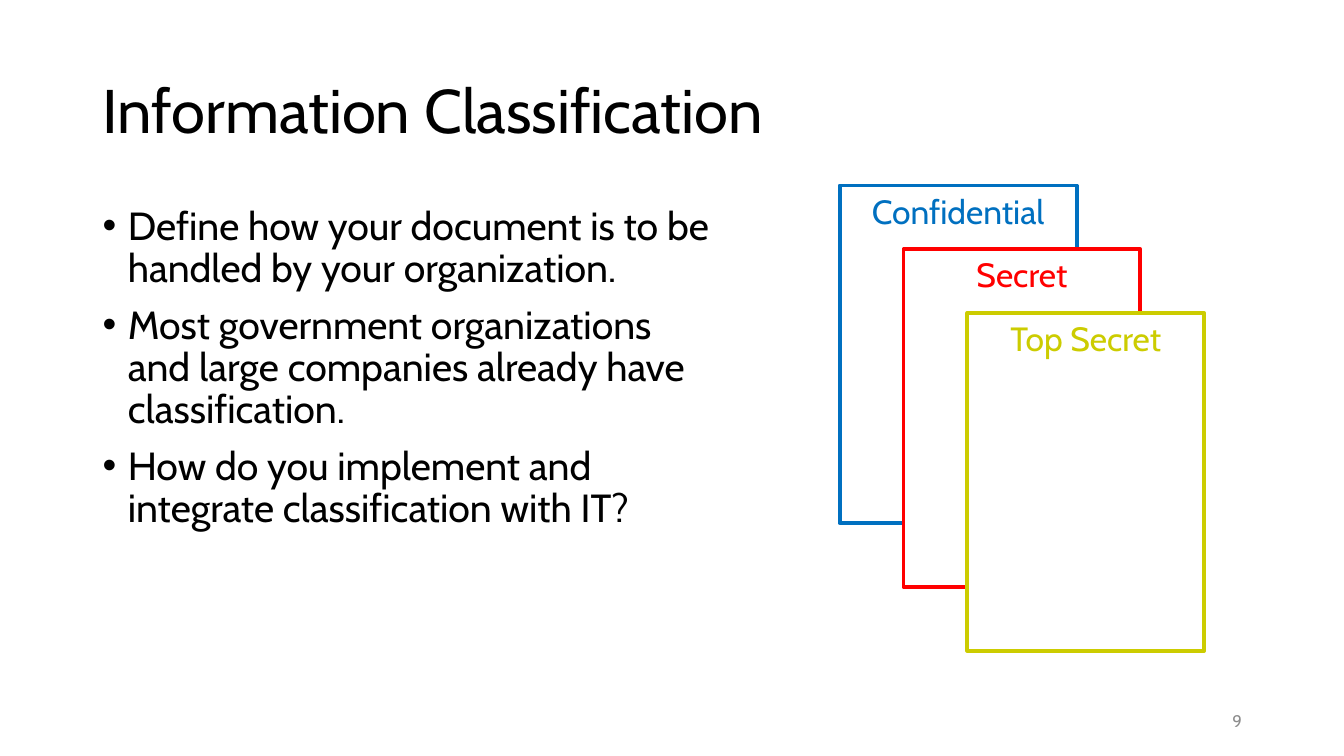
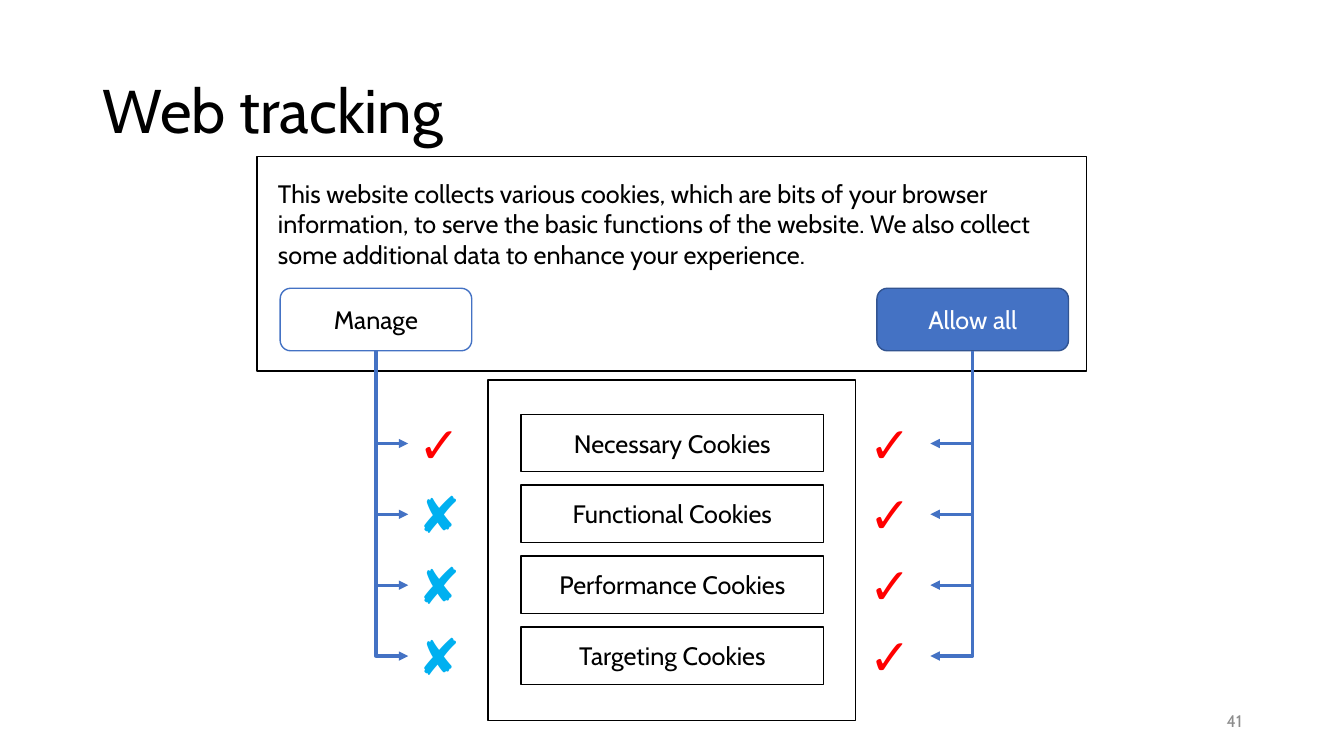
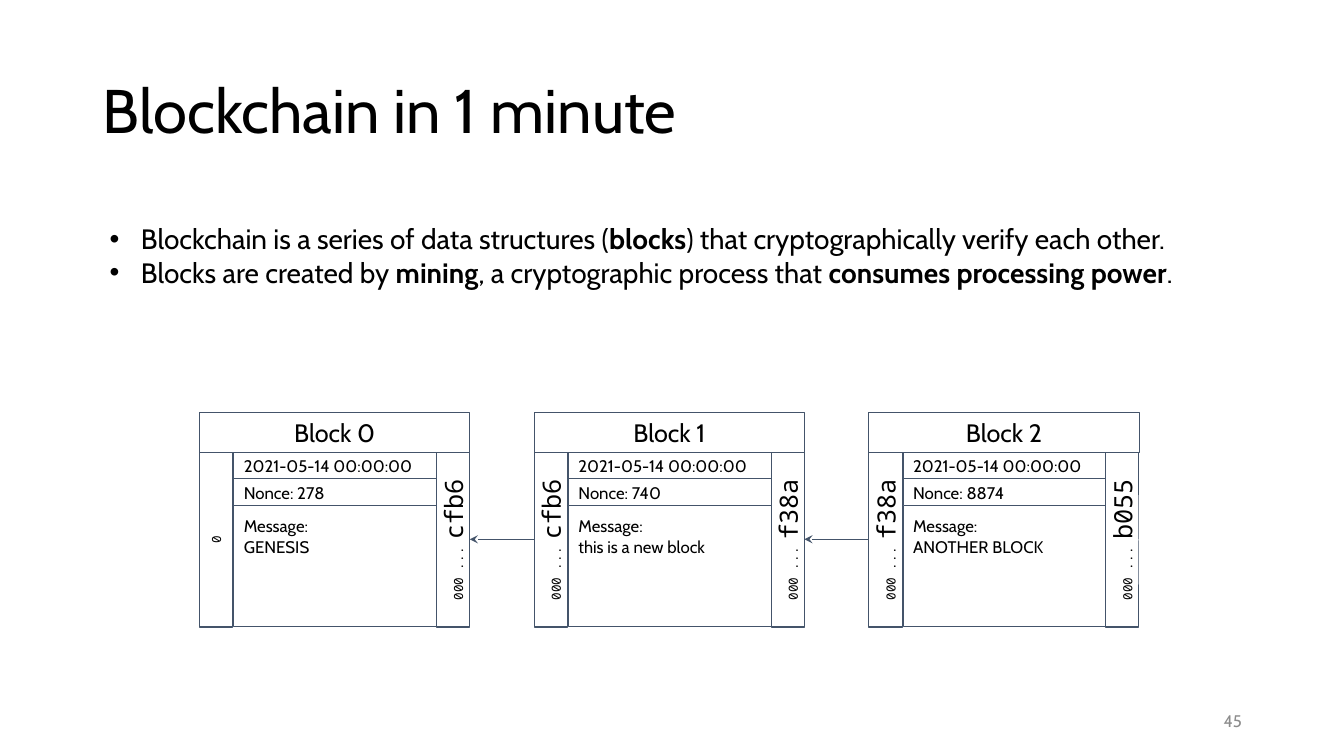
import dataclasses
import typing

import lxml.etree
import pptx
import pptx.dml.color
import pptx.enum.shapes
import pptx.enum.text
import pptx.oxml.ns
import pptx.util

ALIGN = pptx.enum.text.PP_ALIGN
ANCHOR = pptx.enum.text.MSO_ANCHOR
SHAPE = pptx.enum.shapes.MSO_SHAPE
CONNECTOR = pptx.enum.shapes.MSO_CONNECTOR
RGB = pptx.dml.color.RGBColor

BLACK = RGB(0x00, 0x00, 0x00)
WHITE = RGB(0xFF, 0xFF, 0xFF)
GRAY = RGB(0x8C, 0x8C, 0x8C)
RED = RGB(0xFF, 0x00, 0x00)
OLIVE = RGB(0xCC, 0xCC, 0x00)
DEEP_BLUE = RGB(0x00, 0x70, 0xC0)
SKY_BLUE = RGB(0x00, 0xB0, 0xF0)
ACCENT = RGB(0x44, 0x72, 0xC4)
ACCENT_EDGE = RGB(0x32, 0x54, 0x91)
SLATE = RGB(0x44, 0x54, 0x6A)

CELL = pptx.util.Inches(0.1)
COLUMNS, ROWS = 133.33, 75
TOP, LEFT, BOTTOM, RIGHT = range(4)


class Area(typing.NamedTuple):
    left: float
    top: float
    width: float
    height: float


class Span(typing.NamedTuple):
    text: str
    formats: dict[str, typing.Any] = {}


@dataclasses.dataclass(frozen=True)
class TextStyle:
    size: float = 18
    color: RGB = BLACK
    font: str = "Cabin"
    align: ALIGN = ALIGN.LEFT
    anchor: ANCHOR = ANCHOR.TOP
    line_spacing: float = 1.0
    space_before: float = 0
    indent: float = 0
    margins: tuple[float, float] = (1, 0.5)


@dataclasses.dataclass(frozen=True)
class Frame:
    edge: RGB = BLACK
    width: float = 1
    fill: RGB = WHITE
    kind: SHAPE = SHAPE.RECTANGLE
    rotation: float = 0


@dataclasses.dataclass(frozen=True)
class Block:
    name: str
    nonce: str
    message: str
    previous: list[Span]
    digest: list[Span]


Paras = list[list[Span]]

TITLE = TextStyle(44, anchor=ANCHOR.MIDDLE, line_spacing=0.9)
NUMBER = TextStyle(12, GRAY, align=ALIGN.RIGHT, anchor=ANCHOR.MIDDLE)
BODY = TextStyle(28, line_spacing=0.9, space_before=10, indent=2.5)
LABEL = TextStyle(align=ALIGN.CENTER, anchor=ANCHOR.MIDDLE)
BLOCK_NAME = dataclasses.replace(LABEL, margins=(1, 1))
BLOCK_MESSAGE = TextStyle(12, margins=(1, 1))
BLOCK_FIELD = dataclasses.replace(BLOCK_MESSAGE, anchor=ANCHOR.MIDDLE)
BLOCK_HASH = dataclasses.replace(LABEL, size=9, font="Noto Sans Mono", margins=(0, 0))
BLOCK_FRAME = Frame(SLATE, 0.75)
HASH_FRAME = dataclasses.replace(BLOCK_FRAME, rotation=270)


def grid(cells: float) -> pptx.util.Emu:
    return pptx.util.Emu(round(cells * CELL))


def place(area: Area) -> list[pptx.util.Emu]:
    return [grid(cells) for cells in area]


def apply(target: typing.Any, formats: dict[str, typing.Any]) -> None:
    for name, value in formats.items():
        setattr(target, name, value)


def plain(*lines: str) -> Paras:
    return [[Span(line)] for line in lines]


def add_xml(parent: typing.Any, tag: str, **attributes: str) -> None:
    lxml.etree.SubElement(parent, pptx.oxml.ns.qn(tag), **attributes)


def write(box: typing.Any, paras: Paras, style: TextStyle) -> None:
    frame = box.text_frame
    side, edge = map(grid, style.margins)
    apply(frame, {
        "word_wrap": True, "vertical_anchor": style.anchor,
        "margin_left": side, "margin_right": side,
        "margin_top": edge, "margin_bottom": edge,
    })
    for index, spans in enumerate(paras):
        para = frame.add_paragraph() if index else frame.paragraphs[0]
        if style.indent:
            properties = para._p.get_or_add_pPr()
            properties.set("marL", str(grid(style.indent)))
            properties.set("indent", str(-grid(style.indent)))
            add_xml(properties, "a:buFont", typeface="Arial")
            add_xml(properties, "a:buChar", char="•")
        apply(para, {
            "alignment": style.align, "line_spacing": style.line_spacing,
            "space_before": pptx.util.Pt(style.space_before if index else 0),
        })
        for span in spans:
            run = para.add_run()
            run.text = span.text
            apply(run.font, {"name": style.font, "size": pptx.util.Pt(style.size)} | span.formats)
            run.font.color.rgb = style.color


def add_text(page: typing.Any, area: Area, paras: Paras, style: TextStyle) -> typing.Any:
    box = page.shapes.add_textbox(*place(area))
    write(box, paras, style)
    return box


def add_frame(page: typing.Any, area: Area, frame: Frame,
              paras: Paras | None = None, style: TextStyle = LABEL) -> typing.Any:
    box = page.shapes.add_shape(frame.kind, *place(area))
    box.shadow.inherit = False
    box.rotation = frame.rotation
    box.fill.solid()
    box.fill.fore_color.rgb = frame.fill
    box.line.color.rgb = frame.edge
    box.line.width = pptx.util.Pt(frame.width)
    if paras:
        write(box, paras, style)
    return box


def add_link(page: typing.Any, kind: CONNECTOR, begin: tuple[typing.Any, int],
             end: tuple[typing.Any, int], color: RGB, width: float,
             arrow_end: str, arrow: str) -> typing.Any:
    link = page.shapes.add_connector(kind, 0, 0, 0, 0)
    link.begin_connect(*begin)
    link.end_connect(*end)
    link.line.color.rgb = color
    link.line.width = pptx.util.Pt(width)
    add_xml(link.line._get_or_add_ln(), arrow_end, type=arrow)
    add_xml(link._element.spPr, "a:effectLst")
    return link


def add_page(deck: typing.Any, title: str, number: int) -> typing.Any:
    page = deck.slides.add_slide(deck.slide_layouts[6])
    add_text(page, Area(9.2, 4, 115, 14.5), plain(title), TITLE)
    add_text(page, Area(94.2, 69.5, 30, 4), plain(str(number)), NUMBER)
    return page


def build_classification(deck: typing.Any) -> None:
    page = add_page(deck, "Information Classification", 9)
    add_text(page, Area(9.2, 20, 62.6, 47.6), plain(
        "Define how your document is to be handled by your organization.",
        "Most government organizations and large companies already have classification.",
        "How do you implement and integrate classification with IT?",
    ), BODY)
    levels = [("Confidential", DEEP_BLUE), ("Secret", RED), ("Top Secret", OLIVE)]
    step = 6.33
    for index, (level, color) in enumerate(levels):
        area = Area(83.3 + index * step, 18.4 + index * step, 23.5, 33.5)
        style = TextStyle(24, color, align=ALIGN.CENTER)
        add_frame(page, area, Frame(color, 2.83), plain(level), style)


def build_tracking(deck: typing.Any) -> None:
    page = add_page(deck, "Web tracking", 41)
    add_frame(page, Area(25.5, 15.5, 82.3, 21.3), Frame())
    add_text(page, Area(26.6, 17.2, 79.3, 10.1), plain(
        "This website collects various cookies, which are bits of your browser "
        "information, to serve the basic functions of the website. We also collect "
        "some additional data to enhance your experience."), TextStyle())
    allow = add_frame(page, Area(87, 28.6, 19, 6.2),
                      Frame(ACCENT_EDGE, fill=ACCENT, kind=SHAPE.ROUNDED_RECTANGLE),
                      plain("Allow all"), dataclasses.replace(LABEL, color=WHITE))
    manage = add_frame(page, Area(27.8, 28.6, 19, 6.2),
                       Frame(ACCENT, kind=SHAPE.ROUNDED_RECTANGLE), plain("Manage"))
    add_frame(page, Area(48.4, 37.7, 36.5, 33.8), Frame())
    cookies = ["Necessary", "Functional", "Performance", "Targeting"]
    for index, cookie in enumerate(cookies):
        shift = index * 7.03
        add_frame(page, Area(51.7, 41.1 + shift, 30, 5.7), Frame(), plain(f"{cookie} Cookies"))
        managed = ("✘", SKY_BLUE) if index else ("✓", RED)
        sides = [(manage, 40.5, LEFT, managed), (allow, 85.2, RIGHT, ("✓", RED))]
        for button, left, side, (symbol, color) in sides:
            mark = add_text(page, Area(left, 40.45 + shift, 7.1, 7.1),
                            plain(symbol), TextStyle(36, color))
            link = add_link(page, CONNECTOR.ELBOW, (mark, side), (button, BOTTOM),
                            ACCENT, 2.25, "a:headEnd", "triangle")
            link._element.spPr.prstGeom.set("prst", "bentConnector2")


def add_block(page: typing.Any, left: float, block: Block) -> tuple[typing.Any, typing.Any]:
    inner = left + 3.4
    fields = [
        (Area(left, 40.9, 26.8, 4), plain(block.name), BLOCK_NAME),
        (Area(inner, 44.9, 20.1, 2.7), plain("2021-05-14 00:00:00"), BLOCK_FIELD),
        (Area(inner, 50.2, 20.1, 12), plain("Message:", block.message), BLOCK_MESSAGE),
        (Area(inner, 47.5, 20.1, 2.7), plain(f"Nonce: {block.nonce}"), BLOCK_FIELD),
    ]
    for area, paras, style in fields:
        add_frame(page, area, BLOCK_FRAME, paras, style)
    previous, digest = (
        add_frame(page, Area(left + offset, 51.9, 17.3, 3.3), HASH_FRAME, [spans], BLOCK_HASH)
        for offset, spans in ((-7, block.previous), (16.5, block.digest))
    )
    return previous, digest


def build_blockchain(deck: typing.Any) -> None:
    page = add_page(deck, "Blockchain in 1 minute", 45)
    bold = {"bold": True}
    first, second, third = (
        [Span("000 ... "), Span(code, {"size": pptx.util.Pt(18)})]
        for code in ("cfb6", "f38a", "b055")
    )
    blocks = [
        Block("Block 0", "278", "GENESIS", [Span("0")], first),
        Block("Block 1", "740", "this is a new block", first, second),
        Block("Block 2", "8874", "ANOTHER BLOCK", second, third),
    ]
    step, width, middle = 33.2, 26.8, grid(53.5)
    last_digest = None
    for index, block in enumerate(blocks):
        left = 19.8 + index * step
        previous, digest = add_block(page, left, block)
        if last_digest is not None:
            link = add_link(page, CONNECTOR.STRAIGHT, (previous, TOP), (last_digest, BOTTOM),
                            SLATE, 0.75, "a:tailEnd", "stealth")
            apply(link, {"begin_x": grid(left), "begin_y": middle,
                         "end_x": grid(left - step + width), "end_y": middle})
        last_digest = digest
    add_text(page, Area(9.9, 21.5, 116.5, 7.7), [
        [Span("Blockchain is a series of data structures ("), Span("blocks", bold),
         Span(") that cryptographically verify each other.")],
        [Span("Blocks are created by "), Span("mining", bold),
         Span(", a cryptographic process that "),
         Span("consumes processing power", bold), Span(".")],
    ], TextStyle(20, indent=3.1))


def main() -> None:
    deck = pptx.Presentation()
    apply(deck, {"slide_width": grid(COLUMNS), "slide_height": grid(ROWS)})
    build_classification(deck)
    build_tracking(deck)
    build_blockchain(deck)
    deck.save("out.pptx")


if __name__ == "__main__":
    main()
